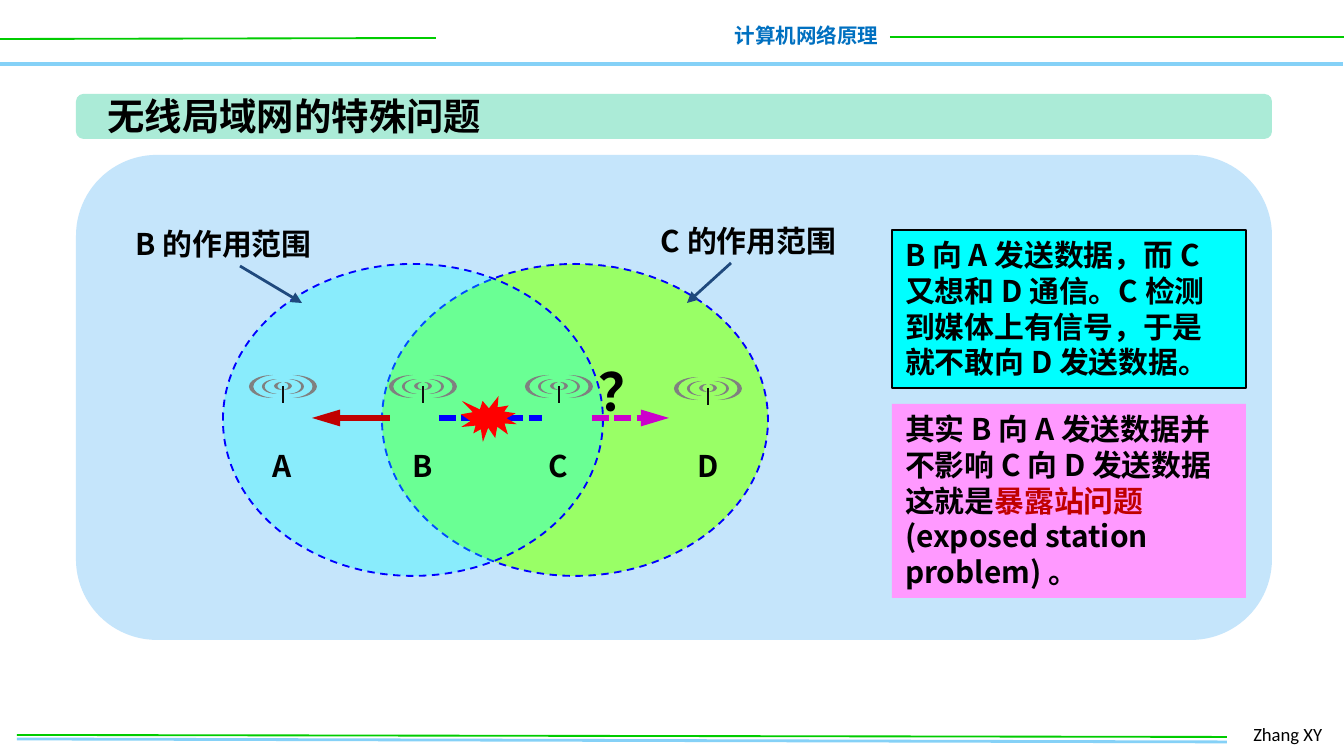
from dataclasses import dataclass

from lxml import etree
from pptx import Presentation
from pptx import util as u
from pptx.dml.color import RGBColor
from pptx.enum import dml, shapes, text
from pptx.oxml.ns import qn

PX = 914400 / 134.4  # EMU in one px


@dataclass(frozen=True)
class Theme:
    cjk: str = "Noto Sans CJK SC"
    latin: str = "Calibri"
    # Type sizes
    title: int = 20
    body: int = 16
    header: int = 11
    footer: int = 10
    mark: int = 28
    # Colours
    ink: str = "000000"
    header_blue: str = "0070C0"
    rule_blue: str = "85D1F7"
    rule_green: str = "00CC00"
    panel: str = "C5E5FB"
    banner: str = "ABEBD7"
    range_b: str = "00FFFF"
    range_c: str = "99FF66"
    blue: str = "0000FF"
    pointer: str = "1F497D"
    cyan: str = "00FFFF"
    pink: str = "FF99FF"
    dark_red: str = "C00000"
    red: str = "FF0000"
    magenta: str = "CC00CC"
    mast: str = "0D0D0D"
    wave: str = "808080"


THEME = Theme()
SHAPE = shapes.MSO_SHAPE
ALIGN = text.PP_ALIGN
DASH = dml.MSO_LINE


def emu(*lengths):
    return [u.Emu(round(length * PX)) for length in lengths]


class Board:
    """Holds the theme and the current slide."""

    def __init__(self, slide, theme):
        self.slide, self.theme = slide, theme

    def fill_text(self, frame, runs, size, color=None, font=None, bold=True,
                  align=ALIGN.LEFT, wrap=True):
        """Fill a frame with one paragraph of (text, colour) runs."""
        font = font or self.theme.cjk
        frame.word_wrap = wrap
        frame.auto_size = text.MSO_AUTO_SIZE.NONE
        frame.vertical_anchor = text.MSO_ANCHOR.TOP
        paragraph = frame.paragraphs[0]
        paragraph.alignment = align
        paragraph.line_spacing = u.Pt(size * 1.2)
        style = paragraph.font
        style.size, style.bold, style.name = u.Pt(size), bold, font
        style.color.rgb = RGBColor.from_string(color or self.theme.ink)
        defaults = paragraph._p.pPr.find(qn("a:defRPr"))
        etree.SubElement(defaults, qn("a:ea")).set("typeface", font)
        for words, accent in runs:
            run = paragraph.add_run()
            run.text = words
            if accent:
                run.font.color.rgb = RGBColor.from_string(accent)

    def title(self, words, box):
        holder = self.slide.shapes.title
        holder.left, holder.top, holder.width, holder.height = emu(*box)
        self.fill_text(holder.text_frame, [(words, None)], self.theme.title)
        # Bring the title in front of its banner
        holder._element.getparent().append(holder._element)

    def label(self, words, box, size, **style):
        frame = self.slide.shapes.add_textbox(*emu(*box)).text_frame
        self.fill_text(frame, [(words, None)], size, **style)

    def shape(self, kind, box, fill, line=None, weight=1, dash=None,
              adjust=None, alpha=None, flip=False):
        item = self.slide.shapes.add_shape(kind, *emu(*box))
        item.shadow.inherit = False
        item.fill.solid()
        item.fill.fore_color.rgb = RGBColor.from_string(fill)
        if alpha is not None:
            color = item._element.spPr.find(qn("a:solidFill"))[0]
            etree.SubElement(color, qn("a:alpha")).set("val", str(alpha * 1000))
        if line:
            self.stroke(item.line, line, weight, dash)
        else:
            item.line.fill.background()
        if adjust is not None:
            item.adjustments[0] = adjust
        if flip:
            item._element.spPr.xfrm.set("flipH", "1")
        return item

    def stroke(self, line, color, weight, dash=None):
        line.color.rgb = RGBColor.from_string(color)
        line.width = u.Pt(weight)
        if dash:
            line.dash_style = dash

    def line(self, ends, color, weight, dash=None, head=None):
        """Draw a straight line; head is the arrowhead length at its end."""
        item = self.slide.shapes.add_connector(
            shapes.MSO_CONNECTOR.STRAIGHT, *emu(*ends))
        self.stroke(item.line, color, weight, dash)
        if head:
            tail = etree.SubElement(item.line._get_or_add_ln(), qn("a:tailEnd"))
            tail.set("type", "triangle")
            tail.set("len", head)
        etree.SubElement(item._element.spPr, qn("a:effectLst"))

    def note(self, runs, box, fill, line=None):
        item = self.shape(SHAPE.RECTANGLE, box, fill, line, 0.75)
        self.fill_text(item.text_frame, runs, self.theme.body)

    def antenna(self, x, y):
        self.line((x, y, x, y + 17), self.theme.mast, 1.5)
        for reach, width, height, bend in ((34, 24, 23, 0.18),
                                           (21, 15, 15, 0.18),
                                           (9, 8, 8, 0.42)):
            for left, flip in ((x - reach, False), (x + reach - width, True)):
                self.shape(SHAPE.MOON, (left, y - height // 2, width, height),
                           self.theme.wave, adjust=bend, flip=flip)


def main():
    deck = Presentation()
    deck.slide_width, deck.slide_height = emu(1344, 756)
    board = Board(deck.slides.add_slide(deck.slide_layouts[5]), THEME)
    t = THEME

    # Header and footer
    for ends, color, weight in (((0, 64, 1343, 64), t.rule_blue, 2),
                                ((0, 39, 436, 38), t.rule_green, 1),
                                ((890, 37, 1344, 37), t.rule_green, 1),
                                ((17, 739, 1227, 742), t.rule_blue, 1.5),
                                ((17, 735, 1227, 737), t.rule_green, 1)):
        board.line(ends, color, weight)
    board.label("计算机网络原理", (720, 16, 172, 39), t.header,
                color=t.header_blue, align=ALIGN.RIGHT, wrap=False)
    board.label("Zhang XY", (1240, 716, 104, 36), t.footer,
                font=t.latin, bold=False)

    # Panel and title banner
    board.shape(SHAPE.ROUNDED_RECTANGLE, (76, 155, 1196, 485), t.panel)
    board.shape(SHAPE.ROUNDED_RECTANGLE, (76, 94, 1196, 45), t.banner)
    board.title("无线局域网的特殊问题", (94, 86, 415, 59))

    # Radio ranges of C and B
    for name, oval, fill, alpha, caption, pointer in (
            ("C", (382, 264, 386, 312), t.range_c, None,
             (645, 216, 207, 86), (731, 263, 687, 303)),
            ("B", (223, 264, 380, 312), t.range_b, 30,
             (120, 219, 207, 86), (240, 266, 302, 303))):
        board.shape(SHAPE.OVAL, oval, fill, t.blue, 1, DASH.DASH, alpha=alpha)
        board.label(f"{name} 的作用范围", caption, t.body, align=ALIGN.CENTER)
        board.line(pointer, t.pointer, 1.5, head="med")

    # Stations
    for station, x, y in (("A", 283, 386), ("B", 423, 386),
                          ("C", 559, 386), ("D", 708, 388)):
        board.antenna(x, y)
        board.label(station, (x - 24, 441, 50, 50), t.body, wrap=False)

    # Transmissions and collision
    signal_y = 418
    board.line((592, signal_y, 669, signal_y), t.magenta, 3,
               DASH.SQUARE_DOT, head="lg")
    board.label("？", (585, 353, 79, 77), t.mark, wrap=False)
    board.line((390, signal_y, 312, signal_y), t.dark_red, 3, head="lg")
    board.line((439, signal_y, 542, signal_y), t.blue, 3, DASH.SQUARE_DOT)
    board.shape(SHAPE.EXPLOSION1, (461, 396, 56, 46), t.red)

    # Explanations
    board.note([("B 向 A 发送数据，而 C 又想和 D 通信。C 检测到媒体上有信号，"
                 "于是就不敢向 D 发送数据。", None)],
               (892, 230, 354, 158), t.cyan, t.ink)
    board.note([("其实 B 向 A 发送数据并不影响 C 向 D 发送数据这就是", None),
                ("暴露站问题 ", t.dark_red),
                ("(exposed station problem) 。", None)],
               (892, 404, 354, 194), t.pink)

    deck.save("out.pptx")


if __name__ == "__main__":
    main()
